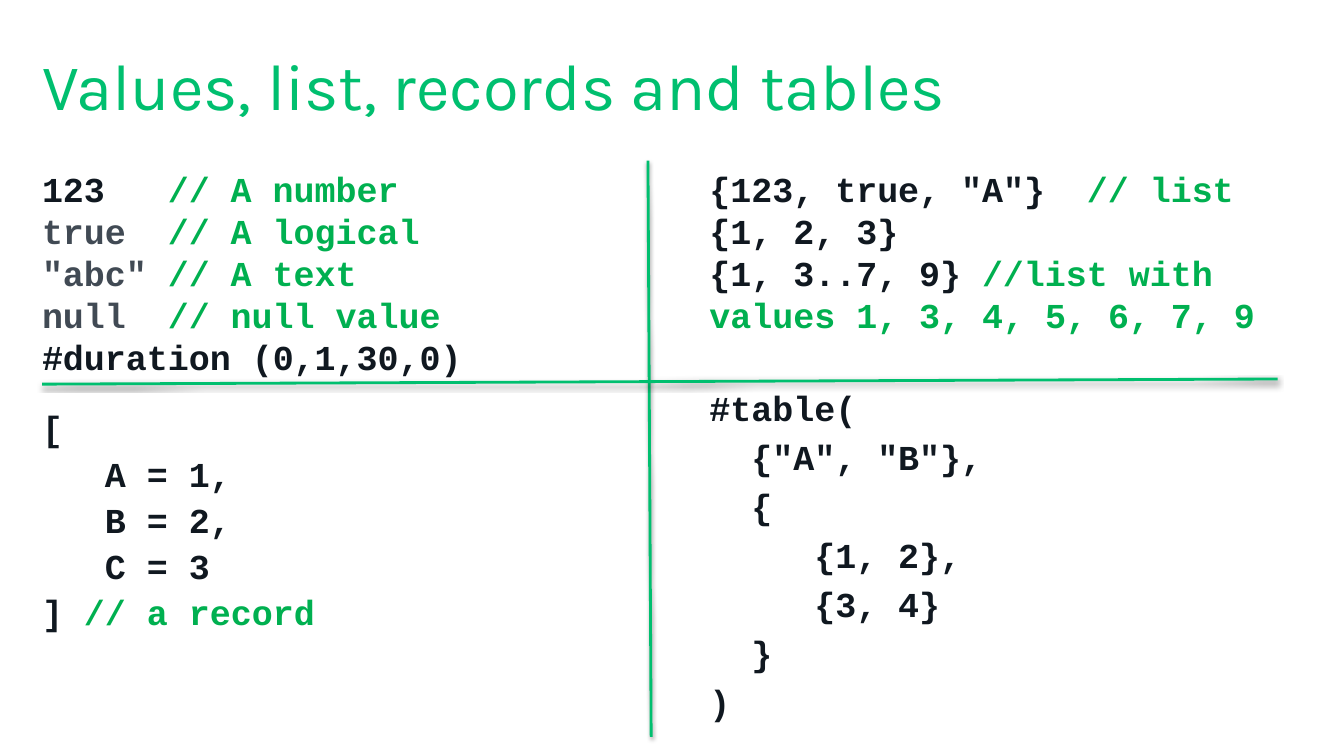
from lxml.etree import SubElement
from pptx import Presentation
from pptx.dml.color import RGBColor
from pptx.enum.shapes import MSO_CONNECTOR
from pptx.enum.text import MSO_ANCHOR
from pptx.oxml.ns import qn
from pptx.util import Cm, Pt

BRAND = RGBColor(0x00, 0xBF, 0x6F)
COMMENT = RGBColor(0x00, 0xB0, 0x50)
INK = RGBColor(0x10, 0x18, 0x20)
SLATE = RGBColor(0x41, 0x4A, 0x54)

LEFT, RIGHT = 1.06, 17.88
COLUMN = 14.94

VALUES = [
    [("123   ", INK), ("// A number", COMMENT)],
    [("true  ", SLATE), ("// A logical", COMMENT)],
    [('"abc" ', SLATE), ("// A text", COMMENT)],
    [("null  ", SLATE), ("// null value", COMMENT)],
    [("#duration (0,1,30,0)", INK)],
]
LISTS = [
    [('{123, true, "A"}  ', INK), ("// list", COMMENT)],
    [("{1, 2, 3}", INK)],
    [("{1, 3..7, 9} ", INK), ("//list with values 1, 3, 4, 5, 6, 7, 9", COMMENT)],
]
RECORD = [
    [("[", INK)],
    [("   A = 1,", INK)],
    [("   B = 2,", INK)],
    [("   C = 3", INK)],
    [("] ", INK), ("// a record", COMMENT)],
]
TABLE = [
    [("#table(", INK)],
    [('  {"A", "B"},', INK)],
    [("  {", INK)],
    [("     {1, 2},", INK)],
    [("     {3, 4}", INK)],
    [("  }", INK)],
    [(")", INK)],
]


def add_text(s, lines, left, top, width, height, font="Courier New", size=25,
             bold=True, anchor=MSO_ANCHOR.TOP, inset=0.5, spacing=1.0, before=0):
    tf = s.shapes.add_textbox(Cm(left), Cm(top), Cm(width), Cm(height)).text_frame
    tf.word_wrap = True
    tf.vertical_anchor = anchor
    tf.margin_left = tf.margin_top = tf.margin_bottom = 0
    tf.margin_right = Cm(inset)
    for i, runs in enumerate(lines):
        p = tf.paragraphs[0] if i == 0 else tf.add_paragraph()
        p.line_spacing = spacing
        p.space_before = Pt(before if i else 0)
        for text, color in runs:
            r = p.add_run()
            r.text = text
            r.font.name = font
            r.font.size = Pt(size)
            r.font.bold = bold
            r.font.color.rgb = color


def add_divider(s, x1, y1, x2, y2):
    line = s.shapes.add_connector(MSO_CONNECTOR.STRAIGHT, Cm(x1), Cm(y1), Cm(x2), Cm(y2))
    line.line.color.rgb = BRAND
    line.line.width = Pt(2)
    effects = SubElement(line._element.spPr, qn("a:effectLst"))
    shadow = SubElement(effects, qn("a:outerShdw"), blurRad="40000", dist="20000",
                        dir="5400000", rotWithShape="0")
    black = SubElement(shadow, qn("a:srgbClr"), val="000000")
    SubElement(black, qn("a:alpha"), val="38000")


def main():
    prs = Presentation()
    prs.slide_width, prs.slide_height = Cm(33.87), Cm(19.05)
    s = prs.slides.add_slide(prs.slide_layouts[6])
    add_text(s, [[("Values, list, records and tables", BRAND)]], LEFT, 1.06, 31.75, 2.12,
             font="Karla", size=46.6, bold=False, anchor=MSO_ANCHOR.MIDDLE, inset=0)
    add_text(s, VALUES, LEFT, 4.23, COLUMN, 5.5)
    add_text(s, LISTS, RIGHT, 4.23, COLUMN, 4.44)
    add_text(s, RECORD, LEFT, 10.13, COLUMN, 8.15, spacing=1.1)
    add_text(s, TABLE, RIGHT, 9.75, COLUMN, 7.9, before=5)
    add_divider(s, 16.33, 4.05, 16.41, 18.57)
    add_divider(s, LEFT, 9.68, 32.2, 9.55)
    prs.save("out.pptx")


if __name__ == "__main__":
    main()
